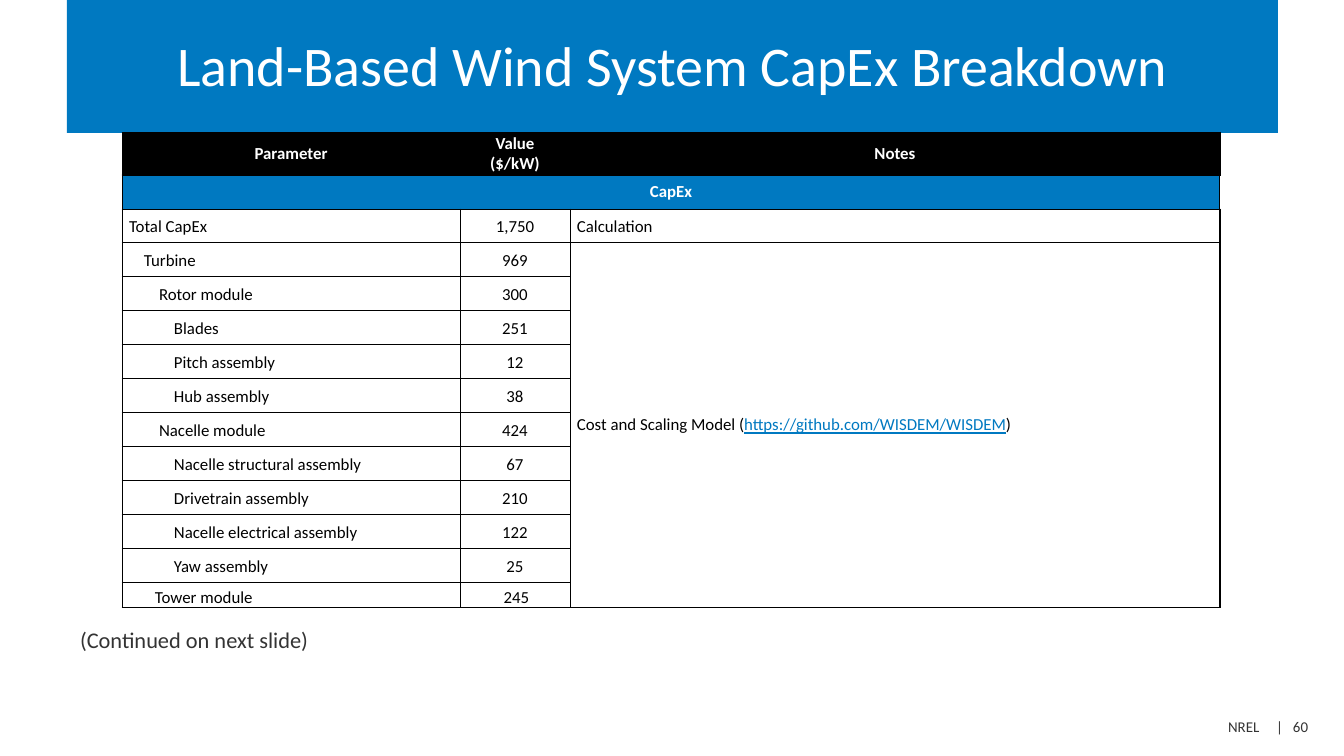
from lxml import etree
from pptx import Presentation
from pptx import util as u
from pptx.dml.color import RGBColor
from pptx.enum import text
from pptx.oxml import ns

PX = 914400 / 134.4
BLUE = RGBColor(0x00, 0x79, 0xC1)
BLACK = RGBColor(0, 0, 0)
WHITE = RGBColor(0xFF, 0xFF, 0xFF)
GREY = RGBColor(0x33, 0x33, 0x33)
LEFT, CENTER = text.PP_ALIGN.LEFT, text.PP_ALIGN.CENTER
MIDDLE, BOTTOM = text.MSO_ANCHOR.MIDDLE, text.MSO_ANCHOR.BOTTOM
COLUMNS = [338, 110, 650]
TABLE_LEFT, HEADER_TOP, HEADER_HEIGHT, ROW, LAST_ROW = 122, 133, 42, 34, 25
INDENT = 15


def px(*lengths):
    return [u.Emu(round(length * PX)) for length in lengths]


def add_span(para, words, **formats):
    span = para.add_run()
    span.text = words
    span.font.color.rgb = formats.pop("color", BLACK)
    for name, value in {"name": "Calibri", "size": u.Pt(9), **formats}.items():
        setattr(span.font, name, value)


deck = Presentation()
deck.slide_width, deck.slide_height = px(1344, 756)
page = deck.slides.add_slide(deck.slide_layouts[5])

# Title band
title = page.shapes.title
title.left, title.top, title.width, title.height = px(67, 0, 1211, 133)
title.fill.solid()
title.fill.fore_color.rgb = BLUE
frame = title.text_frame
frame.auto_size = text.MSO_AUTO_SIZE.NONE
frame.vertical_anchor = MIDDLE
frame.margin_left, frame.margin_top, frame.margin_right, frame.margin_bottom = px(13, 17, 13, 7)
frame.paragraphs[0].alignment = CENTER
frame.paragraphs[0].line_spacing = u.Pt(28)
add_span(frame.paragraphs[0], "Land-Based Wind System CapEx Breakdown", size=u.Pt(30), color=WHITE)

# Column headings and cost rows: (indent level, parameter, value)
headings = ["Parameter", "Value\n($/kW)", "Notes"]
costs = [
    (0, "Total CapEx", "1,750"),
    (1, "Turbine", "969"),
    (2, "Rotor module", "300"),
    (3, "Blades", "251"),
    (3, "Pitch assembly", "12"),
    (3, "Hub assembly", "38"),
    (2, "Nacelle module", "424"),
    (3, "Nacelle structural assembly", "67"),
    (3, "Drivetrain assembly", "210"),
    (3, "Nacelle electrical assembly", "122"),
    (3, "Yaw assembly", "25"),
    (2, "Tower module", "245"),
]
heading_rows = [headings]
cost_rows = [["CapEx", "", ""]] + [[name, value, ""] for _, name, value in costs]
cost_rows[1][2] = "Calculation"
heights = [ROW] * len(costs) + [LAST_ROW]

tables = []
for rows, top, row_heights in [
    (heading_rows, HEADER_TOP, [HEADER_HEIGHT]),
    (cost_rows, HEADER_TOP + HEADER_HEIGHT, heights),
]:
    place = px(TABLE_LEFT, top, sum(COLUMNS), sum(row_heights))
    table = page.shapes.add_table(len(rows), len(COLUMNS), *place).table
    table.first_row = table.horz_banding = False
    tables.append(table)
    for column, width in zip(table.columns, px(*COLUMNS)):
        column.width = width
    for r, (row, height) in enumerate(zip(rows, px(*row_heights))):
        table.rows[r].height = height
        banner = r == 0
        for c, words in enumerate(row):
            cell = table.cell(r, c)
            widths = {"lnL": 0.5, "lnR": 1 if c == 2 else 0.5,
                      "lnT": 1 if banner else 0.5, "lnB": 0.5}
            for side, points in widths.items():
                line = etree.SubElement(cell._tc.get_or_add_tcPr(), ns.qn(f"a:{side}"), w=str(u.Pt(points)))
                fill = etree.SubElement(line, ns.qn("a:solidFill"))
                etree.SubElement(fill, ns.qn("a:srgbClr"), val=str(BLACK))
            if banner:
                cell.fill.solid()
                cell.fill.fore_color.rgb = BLACK if rows is heading_rows else BLUE
            else:
                cell.fill.background()
            cell.vertical_anchor = MIDDLE if banner else BOTTOM
            margins = [7, 6, 7, 6]
            if rows is heading_rows:
                margins = [0] * 4
            elif r == len(costs) and c < 2:
                margins = [3, 0, 0, 0]
            cell.margin_left, cell.margin_top, cell.margin_right, cell.margin_bottom = px(*margins)
            for i, part in enumerate(words.split("\n") if words else []):
                para = cell.text_frame.add_paragraph() if i else cell.text_frame.paragraphs[0]
                para.alignment = CENTER if banner or c == 1 else LEFT
                if not banner and c == 0:
                    indent = px(INDENT * costs[r - 1][0])[0]
                    para._p.get_or_add_pPr().set("marL", str(indent))
                add_span(para, part, bold=banner, color=WHITE if banner else BLACK)

# Merged cells of the cost table
cost_table = tables[1]
cost_table.cell(0, 0).merge(cost_table.cell(0, 2))
notes = cost_table.cell(2, 2)
notes.merge(cost_table.cell(len(costs), 2))
notes.vertical_anchor = MIDDLE
para = notes.text_frame.paragraphs[0]
add_span(para, "Cost and Scaling Model (")
add_span(para, "https://github.com/WISDEM/WISDEM", color=BLUE, underline=True)
add_span(para, ")")

# Continuation note and footer
for words, place, size, insets, stops in [
    ("(Continued on next slide)", (67, 620, 384, 40), 12, (13, 13), []),
    ("NREL\t|\t60", (986, 711, 335, 32), 8, (242, 0), [48, 65]),
]:
    box = page.shapes.add_textbox(*px(*place))
    box.text_frame.word_wrap = True
    box.text_frame.margin_left, box.text_frame.margin_right = px(*insets)
    para = box.text_frame.paragraphs[0]
    if stops:
        tabs = etree.SubElement(para._p.get_or_add_pPr(), ns.qn("a:tabLst"))
        for stop in px(*stops):
            etree.SubElement(tabs, ns.qn("a:tab"), pos=str(stop), algn="l")
    add_span(para, words, size=u.Pt(size), color=GREY)

deck.save("out.pptx")
